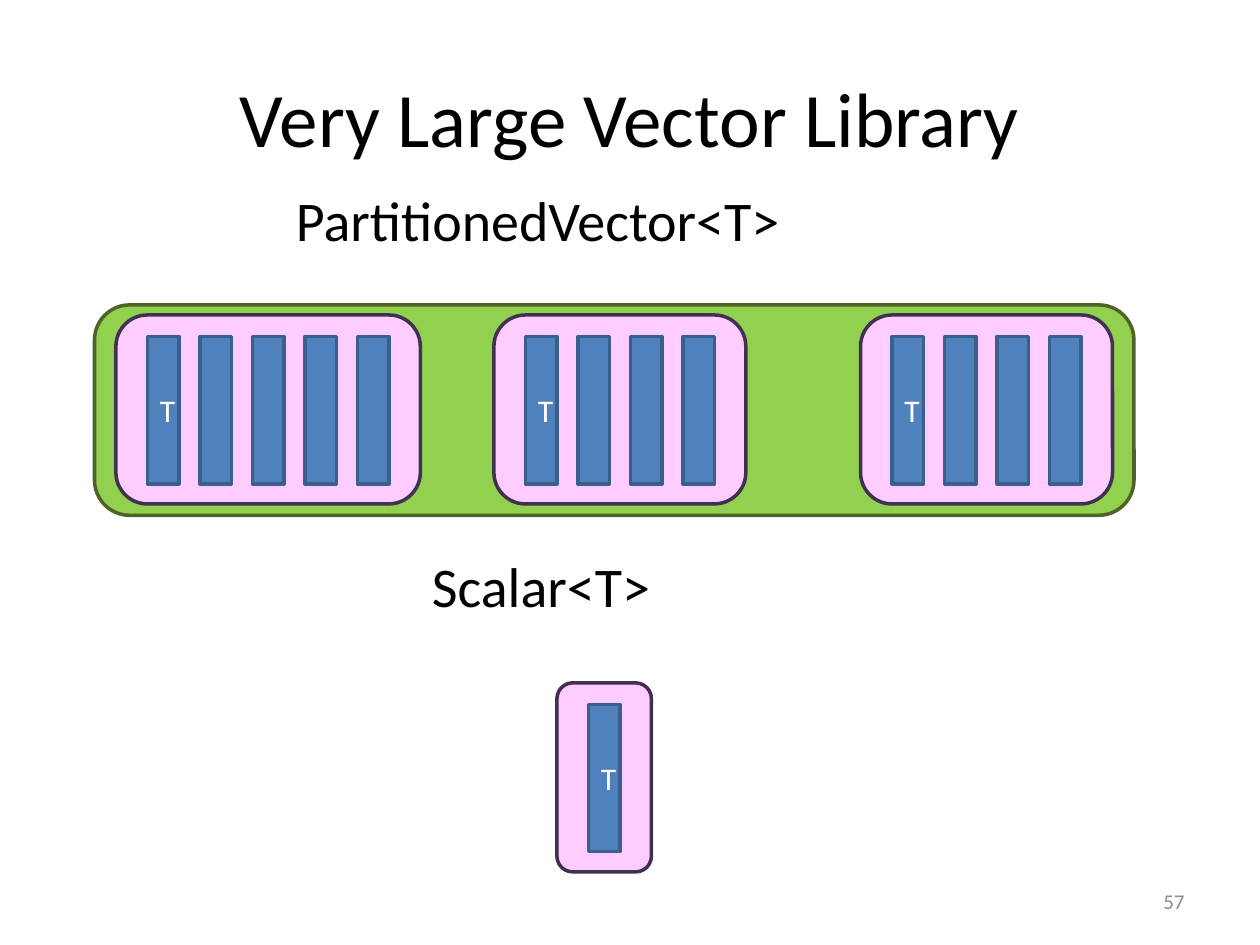
"""Build the Very Large Vector Library slide: a partitioned vector above a scalar."""
from pptx import Presentation
from pptx.dml.color import RGBColor
from pptx.enum.shapes import MSO_SHAPE
from pptx.enum.text import MSO_ANCHOR, PP_ALIGN
from pptx.util import Inches, Pt

TITLE = "Very Large Vector Library"
LABELS = [
    ("PartitionedVector<T>", (2.25, 1.42, 4.08, 0.75)),
    ("Scalar<T>", (3.33, 4.33, 2.25, 0.64)),
]
PAGE = ("57", (7.17, 6.95, 2.33, 0.4))
VECTOR = (0.75, 2.42, 8.25, 1.67)
PARTITIONS = [(0.92, 2.5, 5), (3.92, 2.5, 4), (6.83, 2.5, 4)]
SCALAR = (4.42, 5.42, 1)

THEME = {
    "font": "Calibri",
    "title": 44, "label": 32, "item": 18, "page": 12,
    "text": "000000", "item_text": "FFFFFF", "page_text": "8C8C8C",
    "vector": ("92D050", "4F6228"),
    "partition": ("FFCCFF", "403152"),
    "bar": ("4F81BD", "3A5F8C"),
    "line": 2,
}
BAR_W, BAR_H, BAR_STEP = 0.25, 1.17, 1.25 / 3
PAD_X, PAD_Y, PART_H = 0.25, 0.17, 1.5


def write(sp, text, size, color="text", align=PP_ALIGN.LEFT, anchor=MSO_ANCHOR.TOP):
    tf = sp.text_frame
    tf.word_wrap = True
    tf.vertical_anchor = anchor
    p = tf.paragraphs[0]
    p.alignment = align
    r = p.add_run()
    r.text = text
    r.font.name = THEME["font"]
    r.font.size = Pt(THEME[size])
    r.font.color.rgb = RGBColor.from_string(THEME[color])


def add_text(s, text, box, size, **fmt):
    write(s.shapes.add_textbox(*map(Inches, box)), text, size, **fmt)


def add_box(s, kind, box, style):
    sp = s.shapes.add_shape(kind, *map(Inches, box))
    fill, line = THEME[style]
    sp.shadow.inherit = False
    sp.fill.solid()
    sp.fill.fore_color.rgb = RGBColor.from_string(fill)
    sp.line.color.rgb = RGBColor.from_string(line)
    sp.line.width = Pt(THEME["line"])
    return sp


def add_partition(s, x, y, count):
    width = 2 * PAD_X + BAR_W + (count - 1) * BAR_STEP
    add_box(s, MSO_SHAPE.ROUNDED_RECTANGLE, (x, y, width, PART_H), "partition")
    for i in range(count):
        box = (x + PAD_X + i * BAR_STEP, y + PAD_Y, BAR_W, BAR_H)
        bar = add_box(s, MSO_SHAPE.RECTANGLE, box, "bar")
        if i == 0:
            write(bar, "T", "item", color="item_text",
                  align=PP_ALIGN.CENTER, anchor=MSO_ANCHOR.MIDDLE)


def main():
    prs = Presentation()
    prs.slide_width, prs.slide_height = Inches(10), Inches(7.5)
    s = prs.slides.add_slide(prs.slide_layouts[5])
    title = s.shapes.title
    title.left, title.top, title.width, title.height = map(Inches, (0.5, 0.3, 9, 1.25))
    write(title, TITLE, "title", align=PP_ALIGN.CENTER, anchor=MSO_ANCHOR.MIDDLE)
    for text, box in LABELS:
        add_text(s, text, box, "label")
    add_text(s, *PAGE, "page", color="page_text",
             align=PP_ALIGN.RIGHT, anchor=MSO_ANCHOR.MIDDLE)
    add_box(s, MSO_SHAPE.ROUNDED_RECTANGLE, VECTOR, "vector")
    for part in PARTITIONS + [SCALAR]:
        add_partition(s, *part)
    prs.save("out.pptx")


if __name__ == "__main__":
    main()
